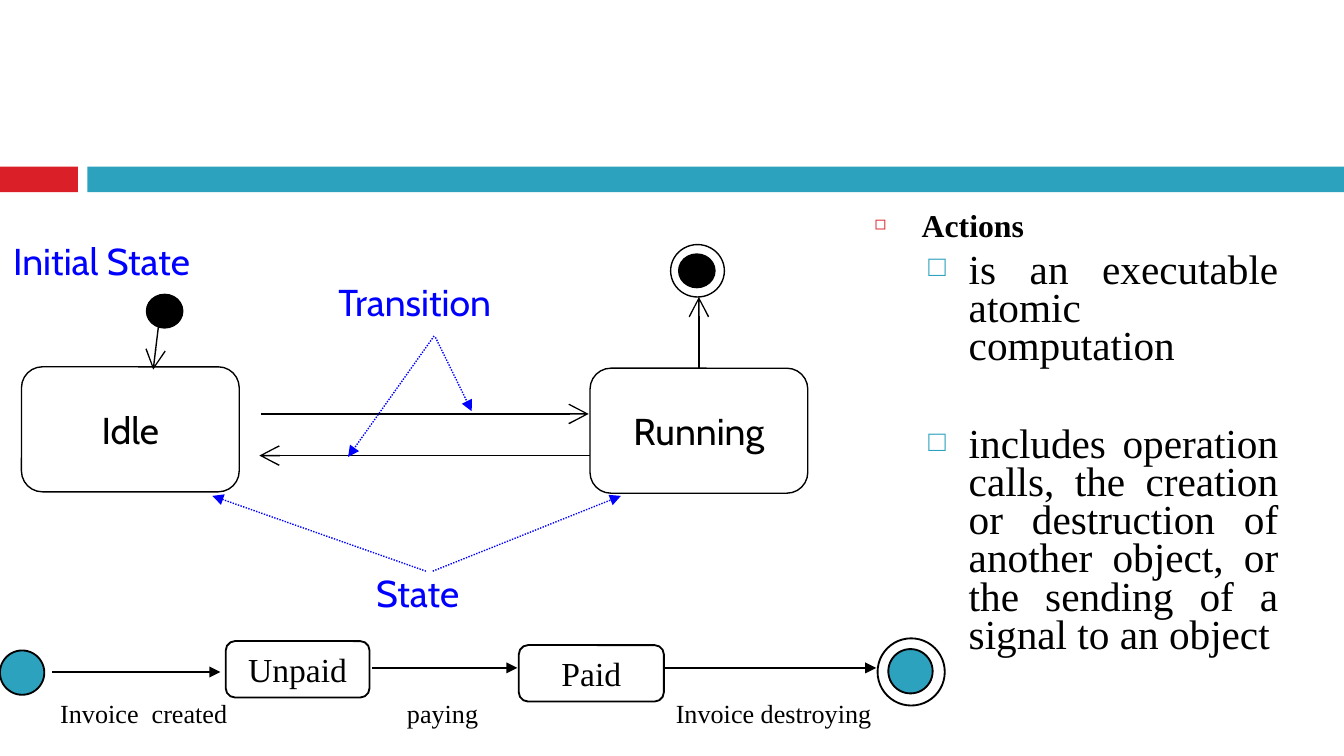
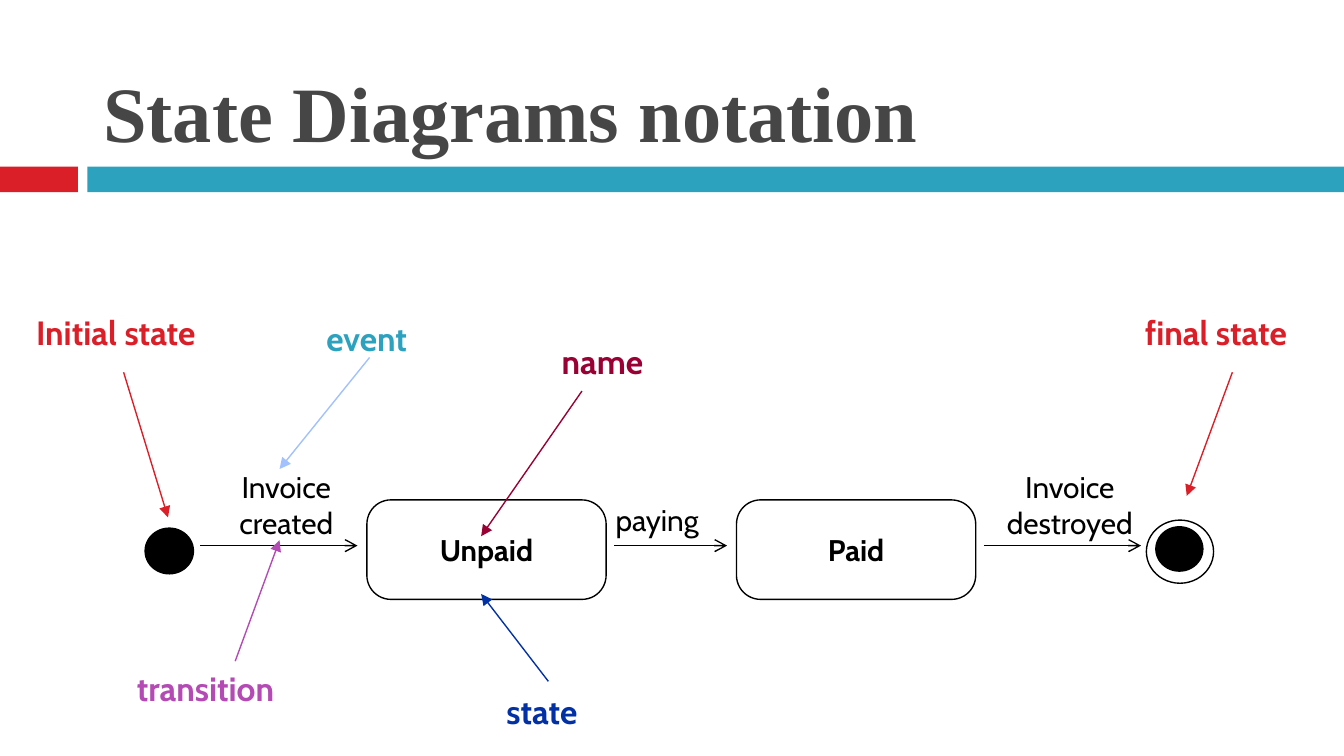
import pptx
import pptx.util
import pptx.dml.color
import pptx.enum.dml
import pptx.enum.shapes
import pptx.enum.text
import pptx.oxml.ns
import lxml.etree

RGBColor = pptx.dml.color.RGBColor
SHAPE = pptx.enum.shapes.MSO_SHAPE
ALIGN = pptx.enum.text.PP_ALIGN
ANCHOR = pptx.enum.text.MSO_ANCHOR
qn = pptx.oxml.ns.qn

# Shared style
RED = RGBColor(0xDA, 0x1F, 0x28)
TEAL = RGBColor(0x2D, 0xA2, 0xBF)
BLACK = RGBColor(0x00, 0x00, 0x00)
WHITE = RGBColor(0xFF, 0xFF, 0xFF)
GREY = RGBColor(0x46, 0x46, 0x46)
BLUE = RGBColor(0x00, 0x00, 0xFF)
NAVY = RGBColor(0x02, 0x31, 0xA6)
MAROON = RGBColor(0x99, 0x00, 0x33)
PURPLE = RGBColor(0xB4, 0x4A, 0xB4)
PALE_BLUE = RGBColor(0xA2, 0xC1, 0xFE)
SANS = "Cabin"
SERIF = "Times New Roman"
PX = 9144  # one px is a hundredth of an inch


def emu(*lengths):
    return [pptx.util.Emu(length * PX) for length in lengths]


def write(paragraph, text, size=20, font=SANS, color=BLACK, bold=False,
          align=ALIGN.LEFT, before=None, spacing=None):
    run = paragraph.add_run()
    run.text = text
    run.font.size = pptx.util.Pt(size)
    run.font.name = font
    run.font.color.rgb = color
    run.font.bold = bold
    paragraph.alignment = align
    if before is not None:
        paragraph.space_before = pptx.util.Pt(before)
    if spacing is not None:
        paragraph.line_spacing = spacing


def add_bullet(paragraph, char, color, percent, indent, hanging):
    properties = paragraph._p.get_or_add_pPr()
    properties.set("marL", str(indent * PX))
    properties.set("indent", str(-hanging * PX))
    bullet_color = lxml.etree.SubElement(properties, qn("a:buClr"))
    lxml.etree.SubElement(bullet_color, qn("a:srgbClr"), val=str(color))
    lxml.etree.SubElement(properties, qn("a:buSzPct"), val=str(percent * 1000))
    lxml.etree.SubElement(properties, qn("a:buFont"), typeface=SERIF)
    lxml.etree.SubElement(properties, qn("a:buChar"), char=char)


class Deck:
    def __init__(self):
        self.presentation = pptx.Presentation()
        width = pptx.util.Inches(10)
        self.presentation.slide_width = width
        self.presentation.slide_height = width * 9 // 16
        self.slide = None

    def new_slide(self):
        blank = self.presentation.slide_layouts[6]
        self.slide = self.presentation.slides.add_slide(blank)
        self.shape(SHAPE.RECTANGLE, 0, 124, 58, 19, fill=RED, line=None)
        self.shape(SHAPE.RECTANGLE, 65, 124, 935, 19, fill=TEAL, line=None)

    def shape(self, kind, left, top, width, height, fill=None, line=BLACK, weight=0.75):
        shape = self.slide.shapes.add_shape(kind, *emu(left, top, width, height))
        shape.shadow.inherit = False
        if fill is None:
            shape.fill.background()
        else:
            shape.fill.solid()
            shape.fill.fore_color.rgb = fill
        if line is None:
            shape.line.fill.background()
        else:
            shape.line.color.rgb = line
            shape.line.width = pptx.util.Pt(weight)
        return shape

    def circle(self, left, top, width, height, **style):
        return self.shape(SHAPE.OVAL, left, top, width, height, **style)

    def state(self, name, left, top, width, height, kind=SHAPE.ROUNDED_RECTANGLE,
              corner=None, fill=None, weight=0.75, **style):
        box = self.shape(kind, left, top, width, height, fill=fill, weight=weight)
        if corner is not None:
            box.adjustments[0] = corner
        frame = box.text_frame
        frame.word_wrap = False
        frame.vertical_anchor = ANCHOR.MIDDLE
        write(frame.paragraphs[0], name, align=ALIGN.CENTER, **style)
        return box

    def frame(self, left, top, width, height, wrap=False, inset=True, anchor=ANCHOR.TOP):
        box = self.slide.shapes.add_textbox(*emu(left, top, width, height))
        frame = box.text_frame
        frame.word_wrap = wrap
        frame.vertical_anchor = anchor
        if not inset:
            frame.margin_left = frame.margin_right = 0
            frame.margin_top = frame.margin_bottom = 0
        return frame

    def label(self, text, left, top, width, height, wrap=False, inset=True, **style):
        frame = self.frame(left, top, width, height, wrap, inset)
        frame.auto_size = pptx.enum.text.MSO_AUTO_SIZE.SHAPE_TO_FIT_TEXT
        write(frame.paragraphs[0], text, **style)

    def title(self, text):
        frame = self.frame(67, 13, 892, 110, wrap=True, anchor=ANCHOR.BOTTOM)
        write(frame.paragraphs[0], text, size=42, font=SERIF, color=GREY, bold=True)

    def arrow(self, x1, y1, x2, y2, color=BLACK, head="triangle", size="med", dotted=False):
        straight = pptx.enum.shapes.MSO_CONNECTOR.STRAIGHT
        arrow = self.slide.shapes.add_connector(straight, *emu(x1, y1, x2, y2))
        arrow.line.color.rgb = color
        arrow.line.width = pptx.util.Pt(0.75)
        if dotted:
            arrow.line.dash_style = pptx.enum.dml.MSO_LINE.ROUND_DOT
        properties = arrow._element.spPr
        lxml.etree.SubElement(properties.find(qn("a:ln")), qn("a:tailEnd"),
                              type=head, w=size, len=size)
        lxml.etree.SubElement(properties, qn("a:effectLst"))
        return arrow


def build_actions(deck):
    deck.new_slide()

    # Explanation of actions
    actions = deck.frame(641, 148, 320, 357, wrap=True)
    heading = actions.paragraphs[0]
    write(heading, "Actions", size=17, font=SERIF, bold=True, before=7)
    add_bullet(heading, "◻", RED, 60, 35, 35)
    for text, before in [
        ("is an executable atomic computation", 5.5),
        ("includes operation calls, the creation or destruction of another "
         "object, or the sending of a signal to an object", 32),
    ]:
        detail = actions.add_paragraph()
        detail.level = 1
        write(detail, text, size=22.1, font=SERIF, align=ALIGN.JUSTIFY,
              before=before, spacing=0.77)
        add_bullet(detail, "□", TEAL, 70, 70, 30)

    # Idle and Running states
    deck.state("Idle", 16, 273, 162, 93)
    running = deck.state("Running", 439, 274, 162, 93)
    deck.circle(109, 219, 27, 25, fill=BLACK)
    deck.circle(505, 189, 27, 25, fill=BLACK)
    deck.circle(499, 182, 40, 39)
    for ends in [(194, 308, 438, 308), (439, 339, 193, 339), (119, 234, 114, 275)]:
        deck.arrow(*ends, head="arrow", size="lg")
    finish = deck.arrow(520, 274, 520, 221, head="arrow", size="lg")
    finish.begin_connect(running, 0)

    # Blue annotations
    for text, left, top, width in [
        ("Initial State", 0, 172, 157),
        ("State", 270, 419, 85),
        ("Transition", 242, 203, 142),
    ]:
        deck.label(text, left, top, width, 43, color=BLUE)
    for ends in [(324, 251, 351, 306), (323, 250, 259, 340),
                 (322, 425, 462, 369), (317, 425, 158, 369)]:
        deck.arrow(*ends, color=BLUE, dotted=True)

    # Invoice life cycle
    for name, left, top, width in [("Unpaid", 168, 477, 107), ("Paid", 386, 480, 108)]:
        deck.state(name, left, top, width, 42, kind=SHAPE.FLOWCHART_ALTERNATE_PROCESS,
                   weight=1, size=18, font=SERIF)
    deck.circle(0, 484, 33, 33, fill=TEAL, weight=1)
    deck.circle(661, 483, 33, 33, fill=TEAL, weight=1)
    deck.circle(653, 475, 50, 50, weight=1)
    for event, left, width, start, end, y in [
        ("Invoice  created", 35, 147, 39, 164, 500),
        ("paying", 293, 73, 277, 385, 497),
        ("Invoice destroying", 493, 168, 493, 652, 497),
    ]:
        deck.arrow(start, y, end, y)
        deck.label(event, left, 514, width, 33, size=14, font=SERIF)


def build_notation(deck):
    deck.new_slide()
    deck.title("State Diagrams notation")

    # States
    for name, left in [("Unpaid", 273), ("Paid", 548)]:
        deck.state(name, left, 372, 178, 74, corner=0.243, fill=WHITE, size=16, bold=True)
    deck.circle(108, 393, 36, 34, fill=BLACK)
    deck.circle(853, 387, 50, 47)
    deck.circle(860, 392, 35, 33, fill=BLACK)

    # Events and transitions
    deck.label("paying", 458, 373, 65, 27, inset=False, size=16)
    for event, left, width in [("Invoice created", 167, 92), ("Invoice destroyed", 742, 108)]:
        deck.label(event, left, 349, width, 53, wrap=True, inset=False,
                   size=16, align=ALIGN.CENTER)
    for start, end in [(149, 266), (457, 541), (732, 849)]:
        deck.arrow(start, 406, end, 406, head="arrow")

    # Annotations with pointers
    for text, left, top, color, ends in [
        ("name", 408, 249, MAROON, (433, 291, 358, 399)),
        ("state", 367, 509, NAVY, (408, 507, 358, 442)),
        ("final state", 842, 227, RED, (917, 277, 883, 369)),
        ("Initial state", 17, 227, RED, (92, 277, 125, 385)),
        ("transition", 92, 492, PURPLE, (175, 492, 208, 402)),
    ]:
        deck.label(text, left, top, 158, 40, wrap=True, size=18, color=color, bold=True)
        deck.arrow(*ends, color=color)
    deck.label("event", 233, 232, 85, 40, size=18, color=TEAL, bold=True)
    deck.arrow(275, 266, 208, 349, color=PALE_BLUE)


def main():
    deck = Deck()
    build_actions(deck)
    build_notation(deck)
    deck.presentation.save("out.pptx")


if __name__ == "__main__":
    main()
